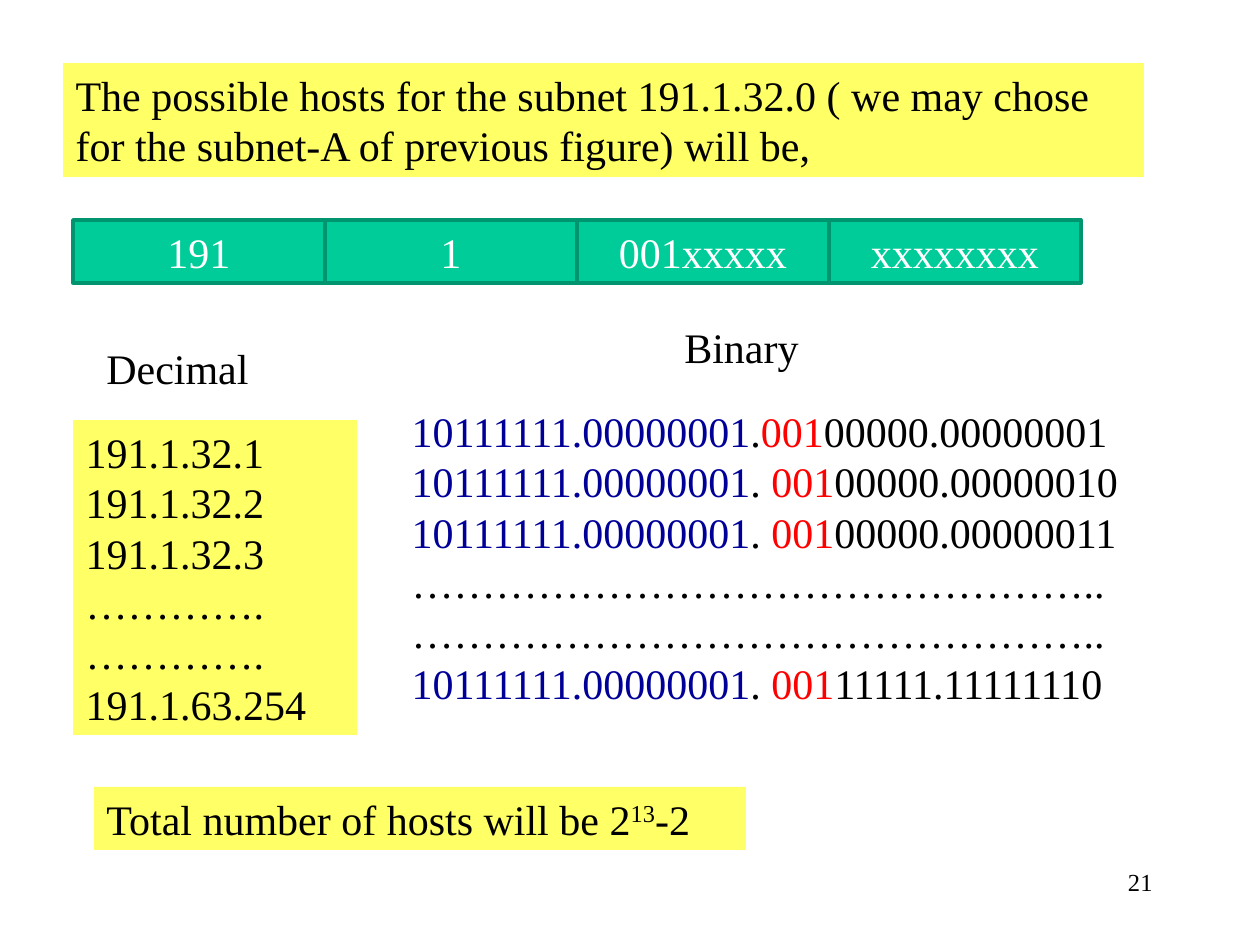
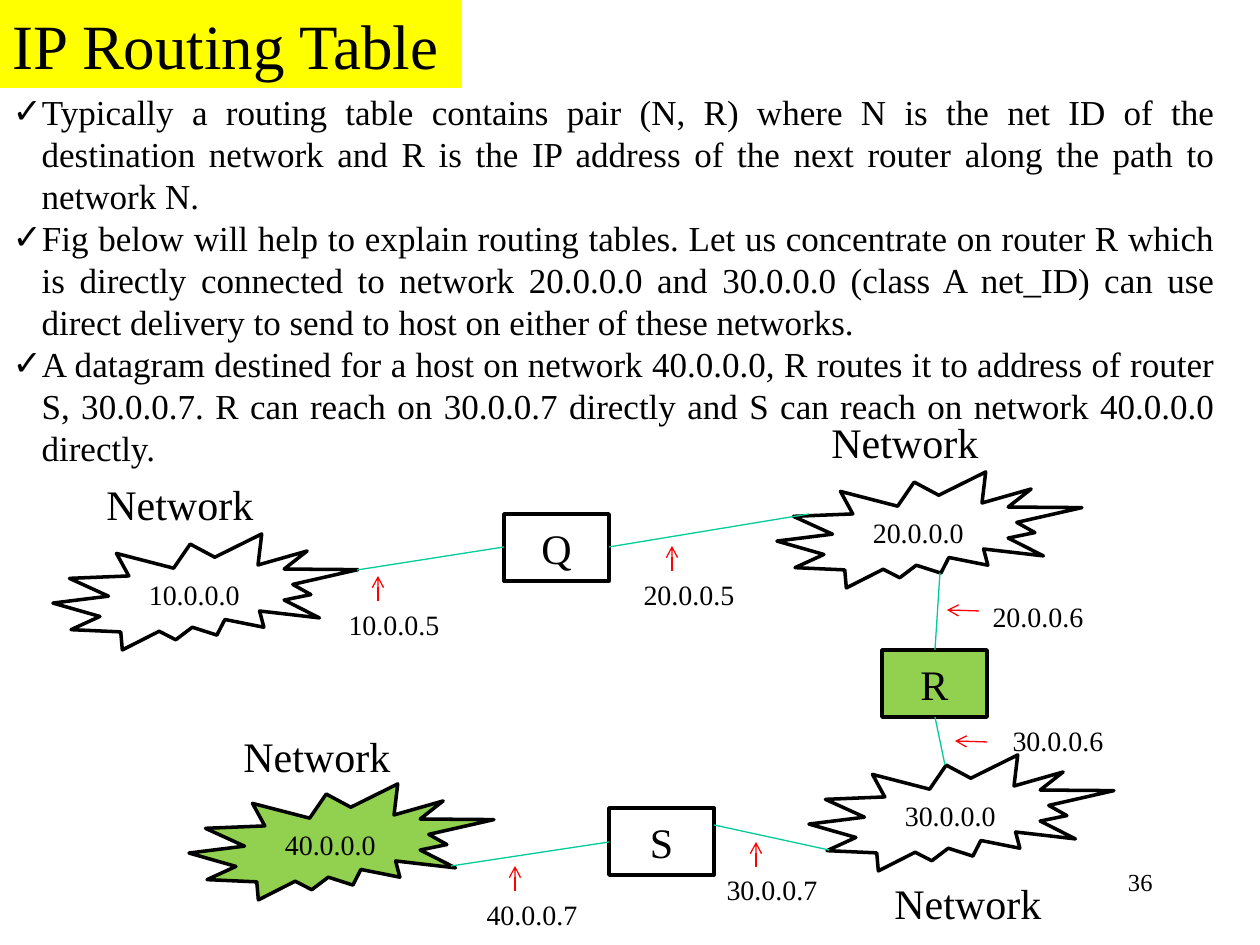
"""Builds two slides on subnet hosts and IP routing tables."""
from lxml.etree import SubElement
from pptx import Presentation
from pptx.dml.color import RGBColor
from pptx.enum.shapes import MSO_CONNECTOR as CONNECTOR, MSO_SHAPE as SHAPE
from pptx.enum.text import MSO_ANCHOR as ANCHOR, MSO_AUTO_SIZE as AUTO_SIZE, PP_ALIGN as ALIGN
from pptx.oxml.ns import qn
from pptx.util import Inches, Pt

PX = 7257
FONT = "Times New Roman"
BLACK, WHITE, RED, NAVY = "000000", "FFFFFF", "FF0000", "000099"
PALE_YELLOW, YELLOW, GREEN = "FFFF66", "FFFF00", "92D050"
TEAL, DARK_TEAL, LINK_TEAL = "00CC99", "00956F", "00CC98"
UNPLACED = (0, 0, 0, 0)
hex_color = RGBColor.from_string


def place(box, bounds, fill=None, line=None):
    box.left, box.top, box.width, box.height = [value * PX for value in bounds]
    box.shadow.inherit = False
    if fill:
        box.fill.solid()
        box.fill.fore_color.rgb = hex_color(fill)
    else:
        box.fill.background()
    if line:
        box.line.color.rgb = hex_color(line)
        box.line.width = Pt(2)
    else:
        box.line.fill.background()
    return box


def write(box, lines, size=24, color=BLACK, align=ALIGN.LEFT, anchor=ANCHOR.TOP,
          wrap=True, bullet=None, indent=0):
    frame = box.text_frame
    frame.auto_size = AUTO_SIZE.NONE
    frame.word_wrap = wrap
    frame.vertical_anchor = anchor
    for index, line in enumerate(lines):
        para = frame.add_paragraph() if index else frame.paragraphs[0]
        properties = para._p.get_or_add_pPr()
        properties.set("marL", str(indent * PX))
        properties.set("indent", str(-indent * PX))
        if bullet:
            SubElement(properties, qn("a:buChar")).set("char", bullet)
        else:
            SubElement(properties, qn("a:buNone"))
        para.alignment = align
        para.space_before = Pt(0)
        for text, span_color in [(line, color)] if isinstance(line, str) else line:
            span = para.add_run()
            span.text = text
            span.font.name = FONT
            span.font.size = Pt(size)
            span.font.color.rgb = hex_color(span_color)


deck = Presentation()
deck.slide_width, deck.slide_height = Inches(10), Inches(7.5)
hosts_page = deck.slides.add_slide(deck.slide_layouts[3])
routing_page = deck.slides.add_slide(deck.slide_layouts[1])

for page, number in [(hosts_page, "21"), (routing_page, "36")]:
    box = place(page.shapes.add_textbox(*UNPLACED), (903, 861, 262, 63))
    write(box, [number], size=14, align=ALIGN.RIGHT)

title = place(hosts_page.shapes.title, (63, 63, 1081, 114), fill=PALE_YELLOW)
write(title, ["The possible hosts for the subnet 191.1.32.0 ( we may chose "
              "for the subnet-A of previous figure) will be,"])

for column, octet in enumerate(["191", "1", "001xxxxx", "xxxxxxxx"]):
    box = hosts_page.shapes.add_shape(SHAPE.RECTANGLE, *UNPLACED)
    place(box, (73 + column * 252, 220, 252, 63), fill=TEAL, line=DARK_TEAL)
    write(box, [octet], color=WHITE, align=ALIGN.CENTER, anchor=ANCHOR.MIDDLE)

for heading, bounds in [("Decimal", (94, 336, 242, 63)), ("Binary", (672, 315, 168, 63))]:
    write(place(hosts_page.shapes.add_textbox(*UNPLACED), bounds), [heading])

decimal_list = place(hosts_page.placeholders[1], (73, 420, 284, 315), fill=PALE_YELLOW)
write(decimal_list, ["191.1.32.1", "191.1.32.2", "191.1.32.3",
                     "………….", "………….", "191.1.63.254"])

binary_lines = [
    [("10111111.00000001", NAVY), (".", BLACK), (subnet, RED), (host, BLACK)]
    for subnet, host in [("001", "00000.00000001"), (" 001", "00000.00000010"),
                         (" 001", "00000.00000011"), (" 001", "11111.11111110")]
]
binary_lines[3:3] = ["………………………………………….."] * 2
write(place(hosts_page.placeholders[2], (399, 399, 746, 315)), binary_lines)

total = hosts_page.shapes.add_shape(SHAPE.RECTANGLE, *UNPLACED)
place(total, (94, 787, 652, 63), fill=PALE_YELLOW)
write(total, [[("Total number of hosts will be 2", BLACK), ("13", BLACK), ("-2", BLACK)]])
exponent = total.text_frame.paragraphs[0].runs[1]
exponent._r.get_or_add_rPr().set("baseline", "30000")

title = place(routing_page.shapes.title, (0, 0, 462, 88), fill=YELLOW)
write(title, ["IP Routing Table"], size=36)

body = place(routing_page.placeholders[1], (0, 84, 1228, 391))
write(body, [
    "Typically a routing table contains pair (N, R) where N is the net ID of the "
    "destination network and R is the IP address of the next router along the path "
    "to network N.",
    "Fig below will help to explain routing tables. Let us concentrate on router R "
    "which is directly connected to network 20.0.0.0 and 30.0.0.0 (class A net_ID) "
    "can use direct delivery to send to host on either of these networks.",
    "A datagram destined for a host on network 40.0.0.0, R routes it to address of "
    "router S, 30.0.0.7. R can reach on 30.0.0.7 directly and S can reach on network "
    "40.0.0.0 directly.",
], size=20, align=ALIGN.JUSTIFY, bullet="✓", indent=29)

networks = [
    ("20.0.0.0", 777, 472, None, (819, 410)),
    ("30.0.0.0", 809, 755, None, (882, 871)),
    ("10.0.0.0", 53, 534, None, (94, 472)),
    ("40.0.0.0", 189, 784, GREEN, (231, 724)),
]
for address, left, top, fill, caption_corner in networks:
    cloud = routing_page.shapes.add_shape(SHAPE.EXPLOSION2, *UNPLACED)
    place(cloud, (left, top, 305, 116), fill=fill, line=BLACK)
    write(cloud, [address], size=16, align=ALIGN.CENTER, anchor=ANCHOR.MIDDLE)
    caption = routing_page.shapes.add_textbox(*UNPLACED)
    write(place(caption, (*caption_corner, 189, 63)), ["Network"])

for name, left, top, fill in [("Q", 504, 514, None), ("R", 882, 650, GREEN),
                              ("S", 609, 808, None)]:
    router = routing_page.shapes.add_shape(SHAPE.RECTANGLE, *UNPLACED)
    place(router, (left, top, 105, 67), fill=fill, line=BLACK)
    write(router, [name], align=ALIGN.CENTER, anchor=ANCHOR.MIDDLE)

UP, LEFTWARD = (0, -25), (-32, -1)
interfaces = [
    ("10.0.0.5", (336, 601), (378, 601), UP),
    ("20.0.0.5", (631, 571), (672, 571), UP),
    ("20.0.0.6", (980, 593), (979, 611), LEFTWARD),
    ("30.0.0.6", (1000, 717), (987, 742), LEFTWARD),
    ("30.0.0.7", (714, 866), (756, 867), UP),
    ("40.0.0.7", (474, 891), (515, 891), UP),
]
lines = [(ends, LINK_TEAL) for ends in [
    (357, 570, 504, 547), (609, 547, 809, 514), (940, 573, 935, 650),
    (935, 717, 945, 765), (829, 850, 714, 825), (451, 866, 609, 842),
]]
for address, corner, (x, y), (across, down) in interfaces:
    label = place(routing_page.shapes.add_textbox(*UNPLACED), (*corner, 116, 47))
    write(label, [address], size=16, align=ALIGN.CENTER, wrap=False)
    lines.append(((x, y, x + across, y + down), RED))

for ends, color in lines:
    connector = routing_page.shapes.add_connector(
        CONNECTOR.STRAIGHT, *[value * PX for value in ends])
    connector.line.color.rgb = hex_color(color)
    connector.line.width = Pt(0.75)
    if color == RED:
        SubElement(connector.line._get_or_add_ln(), qn("a:tailEnd")).set("type", "arrow")
    SubElement(connector._element.spPr, qn("a:effectLst"))

deck.save("out.pptx")
